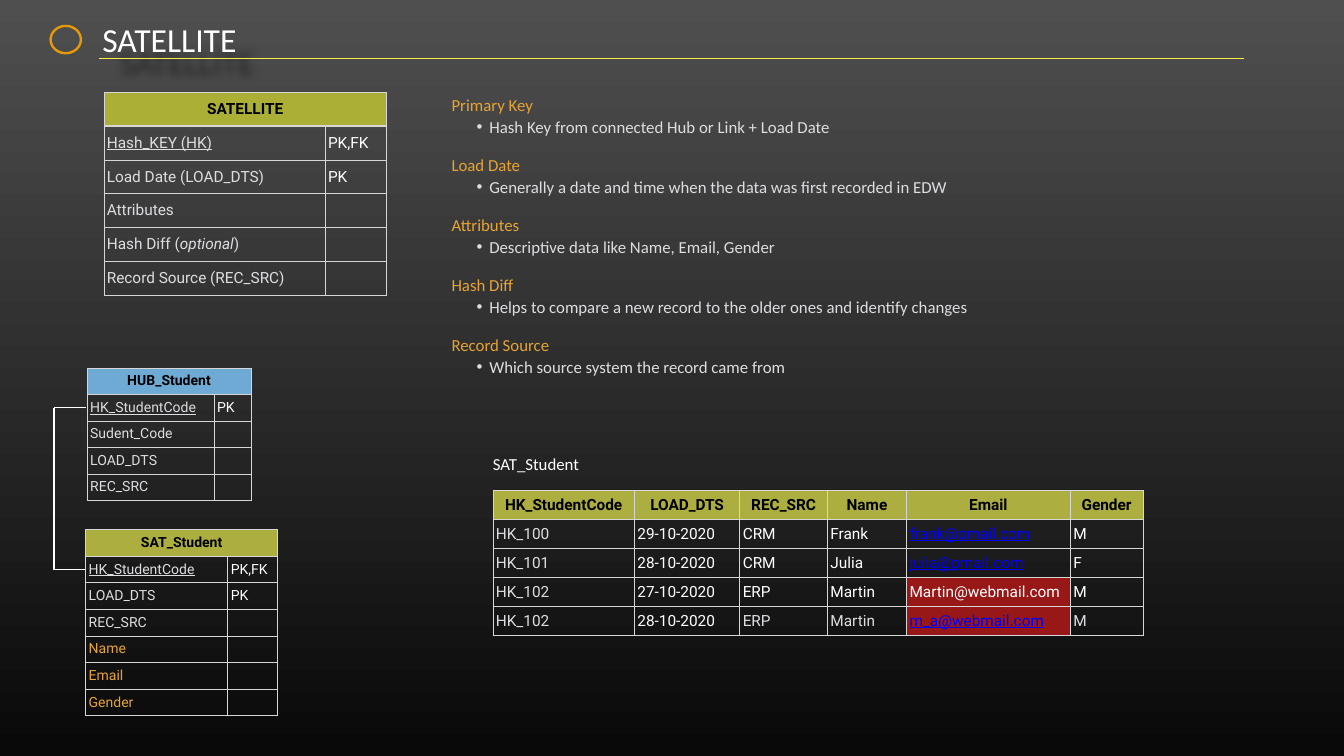
from lxml.etree import SubElement
from pptx import Presentation
from pptx.dml.color import RGBColor
from pptx.enum.shapes import MSO_CONNECTOR, MSO_SHAPE
from pptx.enum.text import MSO_ANCHOR, MSO_AUTO_SIZE, PP_ALIGN
from pptx.oxml.ns import qn
from pptx.util import Emu, Pt

PX = 9144  # 100 px to the inch
COLORS = {
    "bg_top": "4F4F4F", "bg_bottom": "090909", "rule": "F8EF4A", "logo": "E69A0A",
    "white": "FFFFFF", "gray": "DCDEE0", "orange": "E8A432", "black": "000000",
    "link": "0000FF", "border": "D6D6D6", "olive": "ACAF35", "moss": "ACAE40",
    "blue": "6EAAD4", "red": "971817",
}
DEFINITIONS = [
    ("Primary Key", "Hash Key from connected Hub or Link + Load Date"),
    ("Load Date", "Generally a date and time when the data was first recorded in EDW"),
    ("Attributes", "Descriptive data like Name, Email, Gender"),
    ("Hash Diff", "Helps to compare a new record to the older ones and identify changes"),
    ("Record Source", "Which source system the record came from"),
]
# Entity rows: runs of (text, colour, flags), then the key column
SATELLITE_ROWS = [
    ([("Hash_KEY (HK)", "gray", "u")], "PK,FK"),
    ([("Load Date (LOAD_DTS)", "gray")], "PK"),
    ([("Attributes", "gray")], ""),
    ([("Hash Diff (", "gray"), ("optional", "gray", "i"), (")", "gray")], ""),
    ([("Record Source (REC_SRC)", "gray")], ""),
]
HUB_ROWS = [([("HK_StudentCode", "gray", "u")], "PK")] + [
    ([(name, "gray")], "") for name in ("Sudent_Code", "LOAD_DTS", "REC_SRC")]
SAT_ROWS = [
    ([("HK_StudentCode", "gray", "u")], "PK,FK"),
    ([("LOAD_DTS", "gray")], "PK"),
    ([("REC_SRC", "gray")], ""),
] + [([(name, "orange")], "") for name in ("Name", "Email", "Gender")]
RECORD_HEADERS = ["HK_StudentCode", "LOAD_DTS", "REC_SRC", "Name", "Email", "Gender"]
RECORDS = [
    ["HK_100", "29-10-2020", "CRM", "Frank", "frank@pmail.com", "M"],
    ["HK_101", "28-10-2020", "CRM", "Julia", "julia@pmail.com", "F"],
    ["HK_102", "27-10-2020", "ERP", "Martin", "Martin@webmail.com", "M"],
    ["HK_102", "28-10-2020", "ERP", "Martin", "m_a@webmail.com", "M"],
]


def rgb(key):
    return RGBColor.from_string(COLORS[key])


def emu(*lengths):
    return [Emu(round(length * PX)) for length in lengths]


def add_run(paragraph, text, color, flags="", size=24, font="Calibri"):
    run = paragraph.add_run()
    run.text = text
    run.font.size, run.font.name = Pt(size), font
    run.font.color.rgb = rgb(color)
    run.font.bold, run.font.italic = "b" in flags, "i" in flags
    run.font.underline = "u" in flags


def set_frame(frame, inset):
    frame.word_wrap = True
    frame.auto_size = MSO_AUTO_SIZE.NONE
    frame.vertical_anchor = MSO_ANCHOR.MIDDLE
    (frame.margin_left, frame.margin_top,
     frame.margin_right, frame.margin_bottom) = emu(*[inset] * 4)


def place(shape, box):
    shape.left, shape.top, shape.width, shape.height = emu(*box)


def add_line(slide, start, end, color, width):
    line = slide.shapes.add_connector(MSO_CONNECTOR.STRAIGHT, *emu(*start, *end))
    line.line.color.rgb, line.line.width = rgb(color), Pt(width)
    SubElement(line._element.spPr, qn("a:effectLst"))


def add_grid(slide, box, column_widths, row_count):
    grid = slide.shapes.add_table(row_count, len(column_widths), *emu(*box)).table
    grid.first_row = grid.horz_banding = False
    for column, width in zip(grid.columns, column_widths):
        column.width = emu(width)[0]
    for row in grid.rows:
        row.height = emu(box[3] / row_count)[0]
    return grid


def fill_cell(cell, runs, size, fill=None, header=False):
    cell.vertical_anchor = MSO_ANCHOR.MIDDLE
    (cell.margin_left, cell.margin_top,
     cell.margin_right, cell.margin_bottom) = emu(*[6] * 4)
    properties = cell._tc.get_or_add_tcPr()
    for side in "LRTB":
        width = Pt(2 if header and side == "B" else 1)
        border = SubElement(properties, qn(f"a:ln{side}"), w=str(width))
        solid = SubElement(border, qn("a:solidFill"))
        SubElement(solid, qn("a:srgbClr"), val=COLORS["border"])
    if fill:
        cell.fill.solid()
        cell.fill.fore_color.rgb = rgb(fill)
    else:
        cell.fill.background()
    paragraph = cell.text_frame.paragraphs[0]
    paragraph.alignment = PP_ALIGN.CENTER if header else PP_ALIGN.LEFT
    for run in runs:
        add_run(paragraph, *run, size=size, font="Roboto")


def add_heading(slide, box):
    left, top, width, height = box
    # Emblem
    emblem = slide.shapes.add_shape(MSO_SHAPE.DONUT, *emu(left, top + 10, 65, 59))
    emblem.adjustments[0] = 0.08
    emblem.shadow.inherit = False
    emblem.fill.solid()
    emblem.fill.fore_color.rgb = rgb("logo")
    emblem.line.fill.background()
    # Title with its soft shadow
    title = slide.shapes.title
    place(title, (left + 97, top, 1057, height))
    set_frame(title.text_frame, 8)
    paragraph = title.text_frame.paragraphs[0]
    paragraph.alignment = PP_ALIGN.LEFT
    add_run(paragraph, "SATELLITE", "white", size=48)
    title.fill.background()
    effects = SubElement(title._element.spPr, qn("a:effectLst"))
    shadow = SubElement(effects, qn("a:outerShdw"), blurRad=str(Pt(12)),
                        dist=str(Pt(40)), dir="3000000", rotWithShape="0")
    tint = SubElement(shadow, qn("a:srgbClr"), val=COLORS["black"])
    SubElement(tint, qn("a:alpha"), val="50000")
    # Rule under the title
    add_line(slide, (left + 99, top + 76), (left + width, top + 76), "rule", 1)


def add_definitions(slide, box):
    body = slide.placeholders[1]
    place(body, box)
    set_frame(body.text_frame, 6)
    for index, (term, meaning) in enumerate(DEFINITIONS):
        topic = body.text_frame.paragraphs[0] if index == 0 else body.text_frame.add_paragraph()
        detail = body.text_frame.add_paragraph()
        detail.level = 1
        for paragraph, margin, indent, bullet in ((topic, 0, 0, None), (detail, 75, -25, "•")):
            properties = paragraph._p.get_or_add_pPr()
            properties.set("marL", str(margin * PX))
            properties.set("indent", str(indent * PX))
            if bullet:
                SubElement(properties, qn("a:buChar"), char=bullet)
            else:
                SubElement(properties, qn("a:buNone"))
            paragraph.line_spacing = 0.9
        topic.space_before = Pt(29 if index else 0)
        detail.space_before = Pt(5)
        add_run(topic, term, "orange")
        add_run(detail, meaning, "gray")


def add_entity(slide, box, key_width, name, fill, rows, size):
    grid = add_grid(slide, box, (box[2] - key_width, key_width), len(rows) + 1)
    grid.cell(0, 0).merge(grid.cell(0, 1))
    fill_cell(grid.cell(0, 0), [(name, "black", "b")], size, fill, header=True)
    for index, (field, key) in enumerate(rows, 1):
        fill_cell(grid.cell(index, 0), field, size)
        fill_cell(grid.cell(index, 1), [(key, "white")] if key else [], size)


def add_model(slide, hub_box, sat_box, spine_x):
    add_entity(slide, sat_box, 99, "SAT_Student", "moss", SAT_ROWS, 20)
    add_entity(slide, hub_box, 73, "HUB_Student", "blue", HUB_ROWS, 20)
    # Link between the two hash keys, each in the second row
    hub_y, sat_y = (round(box[1] + 1.5 * box[3] / (len(rows) + 1))
                    for box, rows in ((hub_box, HUB_ROWS), (sat_box, SAT_ROWS)))
    add_line(slide, (spine_x, sat_y), (spine_x, hub_y), "white", 2)
    for box, y in ((hub_box, hub_y), (sat_box, sat_y)):
        add_line(slide, (spine_x, y), (box[0] - 2, y), "white", 2)


def add_records(slide, box):
    left, top, width, height = box
    # Caption
    caption = slide.shapes.add_textbox(*emu(left - 6, top, 288, 60))
    set_frame(caption.text_frame, 6)
    paragraph = caption.text_frame.paragraphs[0]
    paragraph.line_spacing = 0.9
    add_run(paragraph, "SAT_Student", "white")
    # Records
    grid = add_grid(slide, (left, top + 80, width, height - 80),
                    (281, 209, 174, 157, 325, 144), len(RECORDS) + 1)
    for column, name in enumerate(RECORD_HEADERS):
        fill_cell(grid.cell(0, column), [(name, "black", "b")], 22, "moss", header=True)
    for row, record in enumerate(RECORDS, 1):
        last = row == len(RECORDS)
        for column, value in enumerate(record):
            email = RECORD_HEADERS[column] == "Email"
            linked = email and row != 3
            color = "link" if linked else "gray" if column == 0 or (last and column > 1) else "white"
            fill_cell(grid.cell(row, column), [(value, color, "u" if linked else "")], 22,
                      "red" if email and row >= 3 else None)


def main():
    deck = Presentation()
    deck.slide_width, deck.slide_height = emu(2667, 1500)
    slide = deck.slides.add_slide(deck.slide_layouts[1])
    background = slide.background.fill
    background.gradient()
    background.gradient_angle = 270
    for stop, color in zip(background.gradient_stops, ("bg_top", "bg_bottom")):
        stop.color.rgb = rgb(color)
    add_heading(slide, (98, 39, 2371, 77))
    add_entity(slide, (206, 183, 561, 403), 122, "SATELLITE", "olive", SATELLITE_ROWS, 22)
    add_records(slide, (978, 893, 1290, 368))
    add_model(slide, (173, 730, 325, 263), (170, 1051, 381, 369), 107)
    add_definitions(slide, (890, 179, 1398, 583))
    deck.save("out.pptx")


if __name__ == "__main__":
    main()
